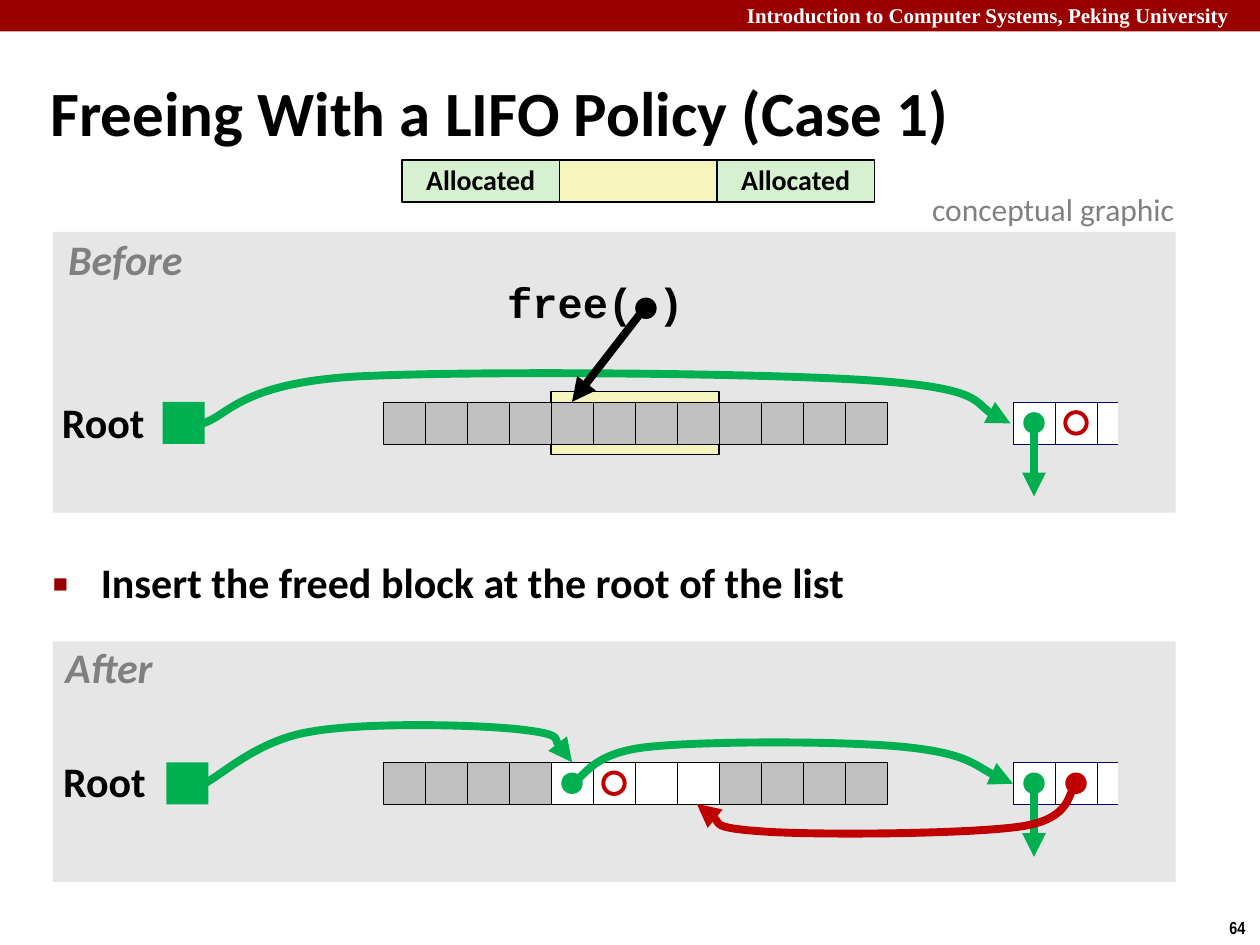
from dataclasses import dataclass
from typing import Any, Optional

import lxml.etree
import pptx
import pptx.dml.color
import pptx.enum.shapes
import pptx.enum.text
import pptx.oxml.ns
import pptx.util

Inches = pptx.util.Inches
Shape = pptx.enum.shapes.MSO_SHAPE
Align = pptx.enum.text.PP_ALIGN
AutoSize = pptx.enum.text.MSO_AUTO_SIZE
Anchor = pptx.enum.text.MSO_ANCHOR
qn = pptx.oxml.ns.qn

CELL = 1 / 3
DOT = 0.17
ROW_LEFT = 3.04
ROW_CELLS = 12
FREED = range(4, 8)
NODE_LEFT = ROW_LEFT + 15 * CELL


@dataclass(frozen=True)
class Theme:
    black: str = "000000"
    white: str = "FFFFFF"
    banner: str = "990000"
    panel: str = "E6E6E6"
    used: str = "C0C0C0"
    freed: str = "F6F5BD"
    allocated: str = "D5F1CF"
    node_line: str = "000066"
    forward: str = "00B050"
    backward: str = "C00000"
    muted: str = "808080"
    font: str = "Calibri"
    code_font: str = "Courier New"
    banner_font: str = "Times New Roman"
    number_font: str = "Arial Narrow"
    title: float = 36
    body: float = 24
    note: float = 18
    block: float = 16
    small: float = 12
    number: float = 10
    thin: float = 0.25
    medium: float = 0.75
    outline: float = 1
    ring: float = 2.25
    arrow: float = 4.5


@dataclass(frozen=True)
class TextStyle:
    size: float
    color: str
    font: str = "Calibri"
    bold: bool = True
    italic: bool = False


@dataclass(frozen=True)
class Panel:
    name: str
    top: float
    height: float
    row: float
    root_left: float
    name_box: tuple[float, float, float]
    root_box: tuple[float, float, float]


T = Theme()
LABEL = TextStyle(T.body, T.black, T.font)
PANEL_NAME = TextStyle(T.body, T.muted, T.font, italic=True)
BEFORE = Panel("Before", 1.84, 2.23, 3.19, 1.29, (0.48, 1.85, 1.03), (0.44, 3.14, 0.76))
AFTER = Panel("After", 5.09, 1.91, 6.05, 1.32, (0.46, 5.09, 0.81), (0.45, 5.99, 0.76))


def rgb(color: str) -> pptx.dml.color.RGBColor:
    return pptx.dml.color.RGBColor.from_string(color)


def style(p: Any, look: TextStyle) -> None:
    p.font.name, p.font.size = look.font, pptx.util.Pt(look.size)
    p.font.bold, p.font.italic = look.bold, look.italic
    p.font.color.rgb = rgb(look.color)


def place(sp: Any, left: float, top: float, width: float, height: float) -> None:
    sp.left, sp.top, sp.width, sp.height = map(Inches, (left, top, width, height))


def add_box(shapes: Any, left: float, top: float, width: float, height: float,
            fill: Optional[str], line: Optional[str] = None, weight: float = T.thin,
            kind: Any = Shape.RECTANGLE) -> Any:
    sp = shapes.add_shape(kind, *map(Inches, (left, top, width, height)))
    sp.shadow.inherit = False
    if fill:
        sp.fill.solid()
        sp.fill.fore_color.rgb = rgb(fill)
    else:
        sp.fill.background()
    if line:
        sp.line.color.rgb = rgb(line)
        sp.line.width = pptx.util.Pt(weight)
    else:
        sp.line.fill.background()
    return sp


def add_dot(shapes: Any, cell_left: float, row: float, fill: Optional[str],
            line: Optional[str] = None) -> None:
    gap = (CELL - DOT) / 2
    add_box(shapes, cell_left + gap, row + gap, DOT, DOT, fill, line, T.ring, Shape.OVAL)


def add_text(shapes: Any, text: str, left: float, top: float, width: float,
             height: float, look: TextStyle, wrap: bool = False) -> Any:
    tf = shapes.add_textbox(*map(Inches, (left, top, width, height))).text_frame
    tf.text = text
    tf.word_wrap = wrap
    tf.auto_size = AutoSize.SHAPE_TO_FIT_TEXT
    style(tf.paragraphs[0], look)
    return tf


def add_label(shapes: Any, text: str, left: float, top: float, width: float,
              look: TextStyle = LABEL) -> None:
    tf = add_text(shapes, text, left, top, width, 0.47, look)
    tf.margin_left = tf.margin_right = Inches(0.05)
    p = tf.paragraphs[0]
    p.alignment, p.line_spacing = Align.CENTER, 0.9


def make_arrow(sp: Any, color: str) -> None:
    sp.line.color.rgb = rgb(color)
    sp.line.width = pptx.util.Pt(T.arrow)
    props = sp.element.spPr
    lxml.etree.SubElement(props.find(qn("a:ln")), qn("a:tailEnd"), type="triangle")
    if props.find(qn("a:effectLst")) is None:
        lxml.etree.SubElement(props, qn("a:effectLst"))


def add_arrow(shapes: Any, x1: float, y1: float, x2: float, y2: float, color: str) -> Any:
    line = shapes.add_connector(pptx.enum.shapes.MSO_CONNECTOR.STRAIGHT,
                                *map(Inches, (x1, y1, x2, y2)))
    make_arrow(line, color)
    return line


def add_curve(shapes: Any, points: list[tuple[float, float]], color: str) -> None:
    start, *controls = [(Inches(x), Inches(y)) for x, y in points]
    builder = shapes.build_freeform(*start)
    builder.add_line_segments(controls, close=False)
    sp = builder.convert_to_shape()
    sp.fill.background()
    make_arrow(sp, color)
    segments = list(sp.element.iter(qn("a:lnTo")))
    for i in range(0, len(segments), 3):
        curve = lxml.etree.Element(qn("a:cubicBezTo"))
        segments[i].addprevious(curve)
        for segment in segments[i:i + 3]:
            curve.append(segment[0])
            segment.getparent().remove(segment)


def add_panel(shapes: Any, panel: Panel) -> None:
    add_box(shapes, 0.42, panel.top, 8.91, panel.height, T.panel)
    add_label(shapes, panel.name, *panel.name_box, PANEL_NAME)
    add_label(shapes, "Root", *panel.root_box)


def add_row(shapes: Any, panel: Panel, freed_fill: str, back: Optional[str]) -> list[Any]:
    row = panel.row
    cells = [add_box(shapes, ROW_LEFT + i * CELL, row, CELL, CELL,
                     freed_fill if i in FREED else T.used, T.black)
             for i in range(ROW_CELLS)]
    add_box(shapes, panel.root_left, row, CELL, CELL, T.forward)
    node = shapes.add_group_shape().shapes
    for i in range(3):
        add_box(node, NODE_LEFT + i * CELL, row, CELL, CELL, T.white, T.node_line)
    add_box(node, NODE_LEFT + 2.5 * CELL, row - 0.08, CELL, 0.5, T.panel)
    add_dot(shapes, NODE_LEFT, row, T.forward)
    middle = NODE_LEFT + CELL / 2
    add_arrow(shapes, middle, row + CELL / 2, middle, row + 0.75, T.forward)
    add_dot(shapes, NODE_LEFT + CELL, row, back, None if back else T.backward)
    return cells


def add_title_and_body(s: Any) -> None:
    title, body = s.placeholders
    place(title, 0.3, 0.5, 9.53, 0.86)
    place(body, 0.32, 4.4, 9.09, 0.61)
    title.text_frame.text = "Freeing With a LIFO Policy (Case 1)"
    body.text_frame.text = "Insert the freed block at the root of the list"
    for sp, size, spacing in ((title, T.title, 0.87), (body, T.body, 0.95)):
        sp.text_frame.auto_size = AutoSize.NONE
        p = sp.text_frame.paragraphs[0]
        p.alignment, p.line_spacing, p.space_before = Align.LEFT, spacing, 0
        if sp is body:
            props = p._p.get_or_add_pPr()
            props.set("marL", str(Inches(0.38)))
            props.set("indent", str(-Inches(0.38)))
            color = lxml.etree.SubElement(props, qn("a:buClr"))
            lxml.etree.SubElement(color, qn("a:srgbClr"), val=T.banner)
            lxml.etree.SubElement(props, qn("a:buSzPct"), val="60000")
            lxml.etree.SubElement(props, qn("a:buChar"), char="■")
        style(p, TextStyle(size, T.black, T.font))
    title.text_frame.vertical_anchor = Anchor.MIDDLE


def add_legend(shapes: Any) -> None:
    legend = shapes.add_group_shape().shapes
    for i, text in ((1, ""), (0, "Allocated"), (2, "Allocated")):
        sp = add_box(legend, 3.19 + i * 1.25, 1.27, 1.25, CELL,
                     T.allocated if text else T.freed, T.black, T.outline)
        if text:
            tf = sp.text_frame
            tf.text, tf.word_wrap, tf.vertical_anchor = text, False, Anchor.MIDDLE
            p = tf.paragraphs[0]
            p.alignment, p.line_spacing = Align.CENTER, 0.98
            style(p, TextStyle(T.block, T.black, T.font))


def main() -> None:
    prs = pptx.Presentation()
    prs.slide_width, prs.slide_height = Inches(10), Inches(7.5)
    s = prs.slides.add_slide(prs.slide_layouts[1])
    shapes = s.shapes
    add_title_and_body(s)
    add_box(shapes, 0, 0, 10, 0.25, T.banner)
    add_text(shapes, "Introduction to Computer Systems, Peking University", 5.83, -0.03,
             4.24, 0.3, TextStyle(T.small, T.white, T.banner_font), wrap=True)
    add_text(shapes, "64", 9.66, 7.23, 0.34, 0.27,
             TextStyle(T.number, T.black, T.number_font))

    add_panel(shapes, BEFORE)
    add_box(shapes, ROW_LEFT + 4 * CELL, 3.11, 4 * CELL, 0.5, T.freed, T.black, T.medium)
    add_curve(shapes, [(1.61, 3.36), (1.81, 3.3), (1.9, 3.05), (2.79, 2.99), (3.67, 2.94),
                       (6.05, 2.96), (6.92, 3.02), (7.79, 3.08), (7.79, 3.29),
                       (8.02, 3.36)], T.forward)
    cells = add_row(shapes, BEFORE, T.used, None)
    add_label(shapes, "free( )", 3.97, 2.19, 1.51, TextStyle(T.body, T.black, T.code_font))
    add_dot(shapes, ROW_LEFT + 6 * CELL - 0.08, 2.28, T.black)
    pointer = add_arrow(shapes, 5.12, 2.44, 4.54, 3.19, T.black)
    pointer.end_connect(cells[FREED[0]], 0)

    add_panel(shapes, AFTER)
    add_row(shapes, AFTER, T.white, T.backward)
    add_dot(shapes, ROW_LEFT + 4 * CELL, AFTER.row, T.forward)
    add_curve(shapes, [(4.54, 6.22), (4.64, 6.17), (4.69, 5.98), (5.13, 5.93), (5.57, 5.88),
                       (6.71, 5.88), (7.19, 5.93), (7.67, 5.98), (7.86, 6.16),
                       (8.04, 6.22)], T.forward)
    add_curve(shapes, [(8.54, 6.23), (8.47, 6.28), (8.52, 6.5), (8.1, 6.56), (7.69, 6.62),
                       (6.49, 6.63), (6.06, 6.6), (5.63, 6.57), (5.64, 6.43),
                       (5.53, 6.38)], T.backward)
    add_dot(shapes, ROW_LEFT + 5 * CELL, AFTER.row, None, T.backward)
    add_curve(shapes, [(1.62, 6.22), (1.76, 6.15), (2.04, 5.88), (2.45, 5.81), (2.87, 5.73),
                       (3.78, 5.75), (4.13, 5.79), (4.48, 5.83), (4.46, 5.99),
                       (4.54, 6.05)], T.forward)
    add_text(shapes, "conceptual graphic", 7.3, 1.46, 2.17, 0.4,
             TextStyle(T.note, T.muted, T.font, bold=False))
    add_legend(shapes)
    prs.save("out.pptx")


if __name__ == "__main__":
    main()
